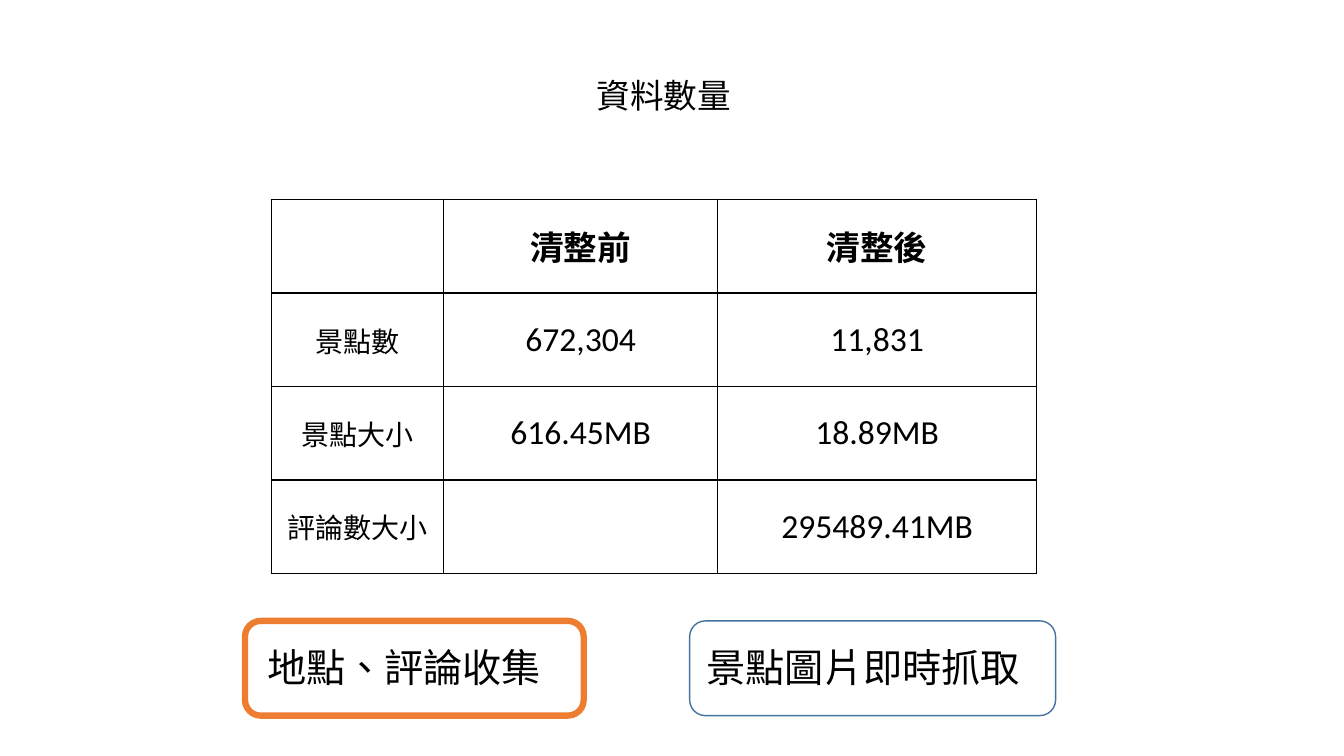
from lxml.etree import SubElement
from pptx import Presentation
from pptx.dml.color import RGBColor
from pptx.enum.lang import MSO_LANGUAGE_ID as Language
from pptx.enum.shapes import MSO_SHAPE as Shape
from pptx.enum.text import MSO_ANCHOR as Anchor, MSO_AUTO_SIZE as AutoSize, PP_ALIGN as Align
from pptx.oxml.ns import qn
from pptx.util import Inches, Pt

BLACK = RGBColor(0x00, 0x00, 0x00)
WHITE = RGBColor(0xFF, 0xFF, 0xFF)
ORANGE = RGBColor(0xED, 0x7D, 0x31)
BLUE = RGBColor(0x43, 0x73, 0x9E)

COLUMN_WIDTHS = (1.71, 2.72, 3.16)
TABLE_HEIGHT = 3.71
ROWS = (
    ("", "清整前", "清整後"),
    ("景點數", "672,304", "11,831"),
    ("景點大小", "616.45MB", "18.89MB"),
    ("評論數大小", "", "295489.41MB"),
)


def write_text(paragraph, text, size, bold=False):
    paragraph.text = text
    values = {"name": "Calibri", "size": Pt(size), "bold": bold}
    for name, value in values.items():
        setattr(paragraph.font, name, value)
    paragraph.font.color.rgb = BLACK
    for run in paragraph.runs:
        run.font.language_id = Language.TRADITIONAL_CHINESE


def add_text(slide, text, left, top, width, height, size):
    box = slide.shapes.add_textbox(Inches(left), Inches(top), Inches(width), Inches(height))
    frame = box.text_frame
    frame.word_wrap = True
    frame.auto_size = AutoSize.SHAPE_TO_FIT_TEXT
    write_text(frame.paragraphs[0], text, size)


def add_frame(slide, left, width, color, line_width, fill_color=None):
    shape = slide.shapes.add_shape(
        Shape.ROUNDED_RECTANGLE, Inches(left), Inches(6.16), Inches(width), Inches(0.94))
    shape.shadow.inherit = False
    if fill_color is None:
        shape.fill.background()
    else:
        shape.fill.solid()
        shape.fill.fore_color.rgb = fill_color
    shape.line.color.rgb = color
    shape.line.width = Pt(line_width)


def add_borders(cell):
    properties = cell._tc.get_or_add_tcPr()
    for position, side in enumerate(("lnL", "lnR", "lnT", "lnB")):
        line = properties.makeelement(qn(f"a:{side}"), {"w": str(Pt(1))})
        fill = SubElement(line, qn("a:solidFill"))
        SubElement(fill, qn("a:srgbClr"), val=str(BLACK))
        # Borders come before the cell fill
        properties.insert(position, line)


def add_data_table(slide):
    table = slide.shapes.add_table(
        len(ROWS), len(COLUMN_WIDTHS), Inches(2.69), Inches(1.98),
        Inches(sum(COLUMN_WIDTHS)), Inches(TABLE_HEIGHT)).table
    table.horz_banding = False
    for column, width in zip(table.columns, COLUMN_WIDTHS):
        column.width = Inches(width)
    for row_index, (row, texts) in enumerate(zip(table.rows, ROWS)):
        row.height = Inches(TABLE_HEIGHT / len(ROWS))
        for column_index, (cell, text) in enumerate(zip(row.cells, texts)):
            cell.fill.background()
            cell.vertical_anchor = Anchor.MIDDLE
            add_borders(cell)
            paragraph = cell.text_frame.paragraphs[0]
            paragraph.alignment = Align.CENTER
            size = 20 if column_index == 0 else 24
            write_text(paragraph, text, size, bold=row_index == 0)


def main():
    presentation = Presentation()
    presentation.slide_width = Inches(13.33)
    presentation.slide_height = Inches(7.5)
    slide = presentation.slides.add_slide(presentation.slide_layouts[6])

    # Labelled frames below the table
    add_frame(slide, 2.43, 3.36, ORANGE, 4.5, WHITE)
    add_frame(slide, 6.84, 3.63, BLUE, 1)
    add_text(slide, "地點、評論收集", 2.55, 6.33, 3.11, 0.57, 28)
    add_text(slide, "景點圖片即時抓取", 6.91, 6.33, 3.56, 0.57, 28)

    # Data volumes before and after cleaning
    add_data_table(slide)

    # Title
    add_text(slide, "資料數量", 5.82, 0.69, 1.69, 0.5, 24)

    presentation.save("out.pptx")


if __name__ == "__main__":
    main()
